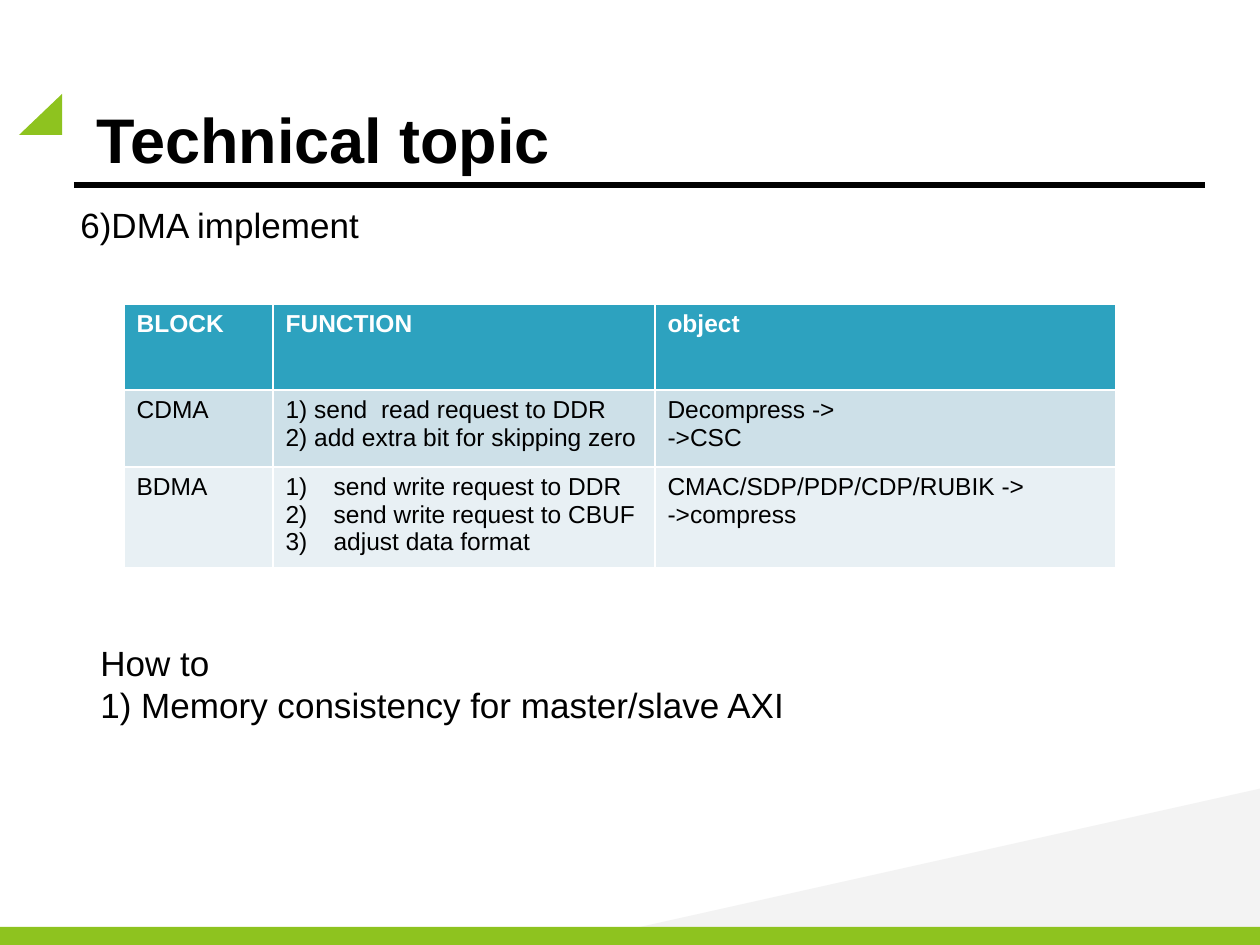
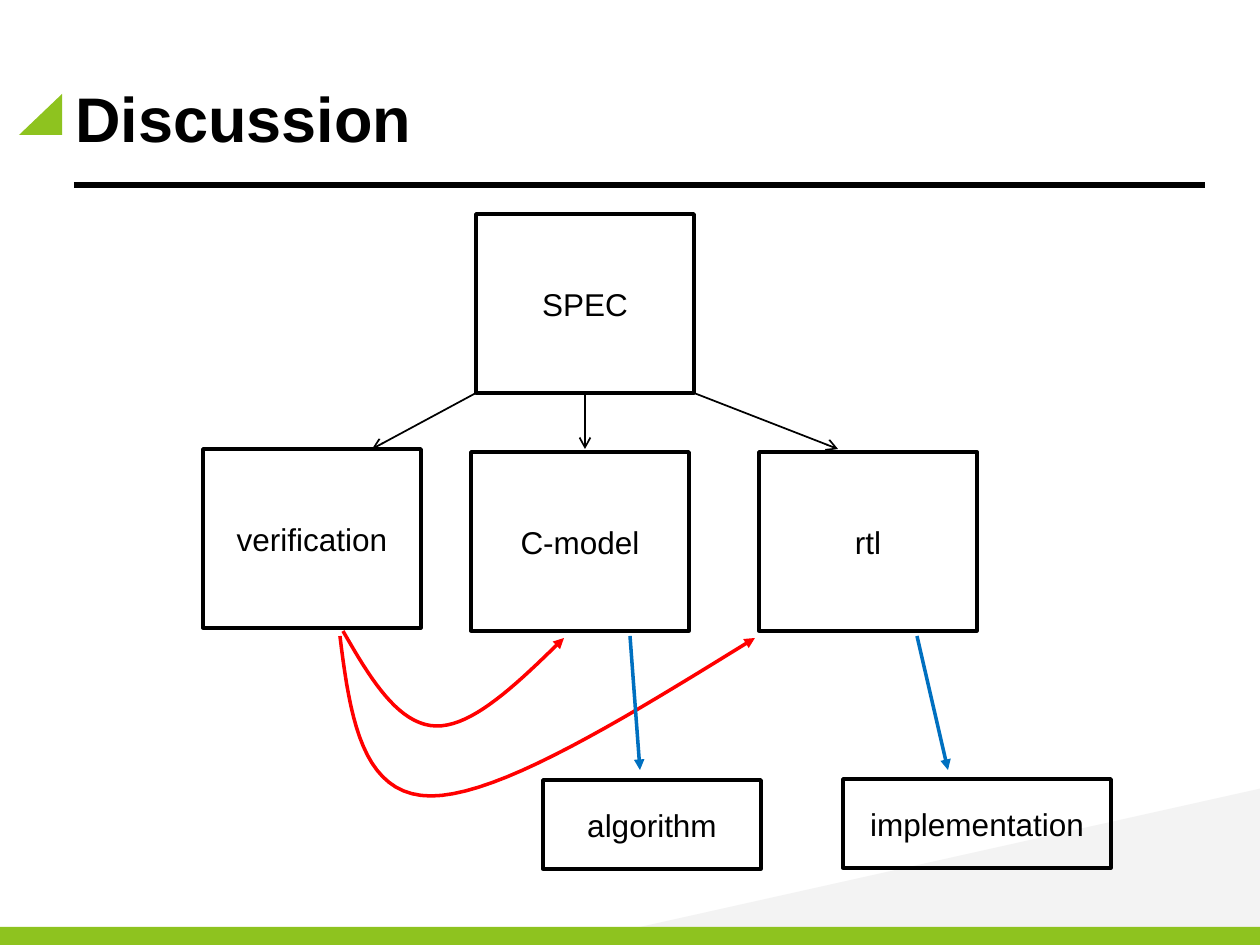
from lxml import etree
from pptx import Presentation
from pptx.dml.color import RGBColor
from pptx.enum.shapes import MSO_CONNECTOR, MSO_SHAPE
from pptx.enum.text import MSO_ANCHOR, PP_ALIGN
from pptx.oxml.ns import qn
from pptx.util import Pt

WHITE = RGBColor(0xFF, 0xFF, 0xFF)
BLACK = RGBColor(0x00, 0x00, 0x00)
GREEN = RGBColor(0x8E, 0xC3, 0x1F)
GREY = RGBColor(0xF2, 0xF2, 0xF2)
TEAL = RGBColor(0x2D, 0xA2, 0xBF)
PALE_BLUE = RGBColor(0xCD, 0xE0, 0xE8)
PALER_BLUE = RGBColor(0xE8, 0xF0, 0xF4)
RED = RGBColor(0xFF, 0x00, 0x00)
BLUE = RGBColor(0x00, 0x70, 0xC0)

FONT = "Arial"
PX_PER_INCH = 126
SLIDE_WIDTH, SLIDE_HEIGHT = 1260, 945
CURVE_STEPS = 20

# Slide 1: every cell is a list of paragraphs
DMA_TABLE = [
    [["BLOCK"], ["FUNCTION"], ["object"]],
    [["CDMA"],
     ["1) send  read request to DDR", "2) add extra bit for skipping zero"],
     ["Decompress ->", "->CSC"]],
    [["BDMA"],
     ["send write request to DDR", "send write request to CBUF", "adjust data format"],
     ["CMAC/SDP/PDP/CDP/RUBIK ->", "->compress"]],
]
NUMBERED_CELL = (2, 1)
NUMBER_INDENT = 48
COLUMN_WIDTHS = [149, 382, 461]
ROW_HEIGHTS = [86, 77, 77]
ROW_FILLS = [TEAL, PALE_BLUE, PALER_BLUE]

# Slide 2: label -> left, top, width, height
BOXES = {
    "SPEC": (476, 214, 218, 179),
    "verification": (203, 449, 218, 179),
    "C-model": (471, 452, 218, 179),
    "rtl": (759, 452, 218, 179),
    "algorithm": (543, 780, 218, 89),
    "implementation": (843, 779, 268, 89),
}
SPEC_ARROWS = [((476, 393), (372, 449)), ((694, 393), (838, 449))]
SPEC_DOWN_ARROW = ((585, 393), (585, 449))
DETAIL_ARROWS = [((630, 636), (640, 770)), ((917, 636), (948, 770))]
# Start point, then Bézier pieces of two control points and an end point
VERIFICATION_CURVES = [
    ((343, 631), [((370, 678), (398, 725), (436, 726)),
                  ((473, 727), (518, 683), (564, 638))]),
    ((340, 636), [((350, 717), (362, 796), (431, 796)),
                  ((500, 796), (627, 717), (755, 638))]),
]


def emu(pixels):
    return round(pixels * 914400 / PX_PER_INCH)


def add_run(paragraph, text, size, color=BLACK, bold=False):
    run = paragraph.add_run()
    run.text = text
    font = run.font
    font.name, font.size, font.bold = FONT, Pt(size), bold
    font.color.rgb = color


def write_lines(text_frame, lines, size, color=BLACK, bold=False):
    for index, line in enumerate(lines):
        paragraph = text_frame.add_paragraph() if index else text_frame.paragraphs[0]
        add_run(paragraph, line, size, color, bold)


def add_text(slide, box, lines, size, bold=False):
    text_frame = slide.shapes.add_textbox(*map(emu, box)).text_frame
    text_frame.word_wrap = True
    text_frame.vertical_anchor = MSO_ANCHOR.MIDDLE
    write_lines(text_frame, lines, size, bold=bold)


def add_filled_shape(slide, preset, box, color, rotation=0):
    shape = slide.shapes.add_shape(preset, *map(emu, box))
    shape.shadow.inherit = False
    shape.rotation = rotation
    shape.fill.solid()
    shape.fill.fore_color.rgb = color
    shape.line.fill.background()
    return shape


def style_line(line, color, width, head=None):
    line.color.rgb = color
    line.width = Pt(width)
    if head:
        etree.SubElement(line._get_or_add_ln(), qn("a:tailEnd"), type=head)


def add_line(slide, start, end, color, width, head=None):
    connector = slide.shapes.add_connector(
        MSO_CONNECTOR.STRAIGHT, *map(emu, (*start, *end)))
    style_line(connector.line, color, width, head)
    etree.SubElement(connector._element.spPr, qn("a:effectLst"))
    return connector


def curve_points(start, pieces):
    """Sample points along joined cubic Bézier pieces, without the start."""
    points = []
    for first, second, end in pieces:
        for step in range(1, CURVE_STEPS + 1):
            t = step / CURVE_STEPS
            weights = ((1 - t) ** 3, 3 * t * (1 - t) ** 2, 3 * t ** 2 * (1 - t), t ** 3)
            corners = (start, first, second, end)
            points.append(tuple(
                emu(sum(weight * corner[axis] for weight, corner in zip(weights, corners)))
                for axis in (0, 1)))
        start = end
    return points


def add_curved_arrow(slide, start, pieces):
    builder = slide.shapes.build_freeform(*map(emu, start))
    builder.add_line_segments(curve_points(start, pieces), close=False)
    curve = builder.convert_to_shape()
    curve.shadow.inherit = False
    curve.fill.background()
    style_line(curve.line, RED, 2, "triangle")


def add_box(slide, label, box):
    shape = slide.shapes.add_shape(MSO_SHAPE.RECTANGLE, *map(emu, box))
    shape.shadow.inherit = False
    shape.fill.background()
    style_line(shape.line, BLACK, 2)
    shape.text_frame.vertical_anchor = MSO_ANCHOR.MIDDLE
    paragraph = shape.text_frame.paragraphs[0]
    paragraph.alignment = PP_ALIGN.CENTER
    add_run(paragraph, label, 18)
    return shape


def number_paragraphs(text_frame):
    for paragraph in text_frame.paragraphs:
        properties = paragraph._p.get_or_add_pPr()
        properties.set("marL", str(emu(NUMBER_INDENT)))
        properties.set("indent", str(-emu(NUMBER_INDENT)))
        etree.SubElement(properties, qn("a:buAutoNum"), type="arabicParenR")


def add_dma_table(slide, left, top):
    table = slide.shapes.add_table(
        len(ROW_HEIGHTS), len(COLUMN_WIDTHS), emu(left), emu(top),
        emu(sum(COLUMN_WIDTHS)), emu(sum(ROW_HEIGHTS))).table
    for column, width in zip(table.columns, COLUMN_WIDTHS):
        column.width = emu(width)
    for row, height in zip(table.rows, ROW_HEIGHTS):
        row.height = emu(height)
    for row_index, row in enumerate(DMA_TABLE):
        is_header = row_index == 0
        for column_index, lines in enumerate(row):
            cell = table.cell(row_index, column_index)
            cell.fill.solid()
            cell.fill.fore_color.rgb = ROW_FILLS[row_index]
            write_lines(cell.text_frame, lines, 14, WHITE if is_header else BLACK, is_header)
    number_paragraphs(table.cell(*NUMBERED_CELL).text_frame)


def add_titled_slide(presentation, title, left, top):
    slide = presentation.slides.add_slide(presentation.slide_layouts[6])
    wedge = add_filled_shape(slide, MSO_SHAPE.RIGHT_TRIANGLE, (822, 510, 160, 717), GREY, 270)
    wedge_color = wedge._element.spPr.find(qn("a:solidFill"))[0]
    etree.SubElement(wedge_color, qn("a:alpha"), val="90000")
    add_filled_shape(slide, MSO_SHAPE.RIGHT_TRIANGLE, (20, 93, 41, 43), GREEN, 270)
    add_filled_shape(slide, MSO_SHAPE.RECTANGLE, (0, 927, SLIDE_WIDTH, 18), GREEN)
    add_line(slide, (74, 185), (1205, 185), BLACK, 3)
    add_text(slide, (left, top, 1134, 158), [title], 36, bold=True)
    return slide


def build_technical_topic(presentation):
    slide = add_titled_slide(presentation, "Technical topic", 84, 59)
    add_text(slide, (68, 185, 1071, 79), ["6)DMA implement"], 20)
    add_dma_table(slide, 124, 304)
    add_text(slide, (88, 601, 1121, 166),
             ["How to", "1) Memory consistency for master/slave AXI"], 20)


def build_discussion(presentation):
    slide = add_titled_slide(presentation, "Discussion", 63, 38)
    boxes = {label: add_box(slide, label, box) for label, box in BOXES.items()}
    for start, end in SPEC_ARROWS:
        add_line(slide, start, end, BLACK, 1, "arrow")
    down_arrow = add_line(slide, *SPEC_DOWN_ARROW, BLACK, 1, "arrow")
    down_arrow.begin_connect(boxes["SPEC"], 2)
    for start, pieces in VERIFICATION_CURVES:
        add_curved_arrow(slide, start, pieces)
    for start, end in DETAIL_ARROWS:
        add_line(slide, start, end, BLUE, 2, "triangle")


def main():
    presentation = Presentation()
    presentation.slide_width = emu(SLIDE_WIDTH)
    presentation.slide_height = emu(SLIDE_HEIGHT)
    build_technical_topic(presentation)
    build_discussion(presentation)
    presentation.save("out.pptx")


if __name__ == "__main__":
    main()
